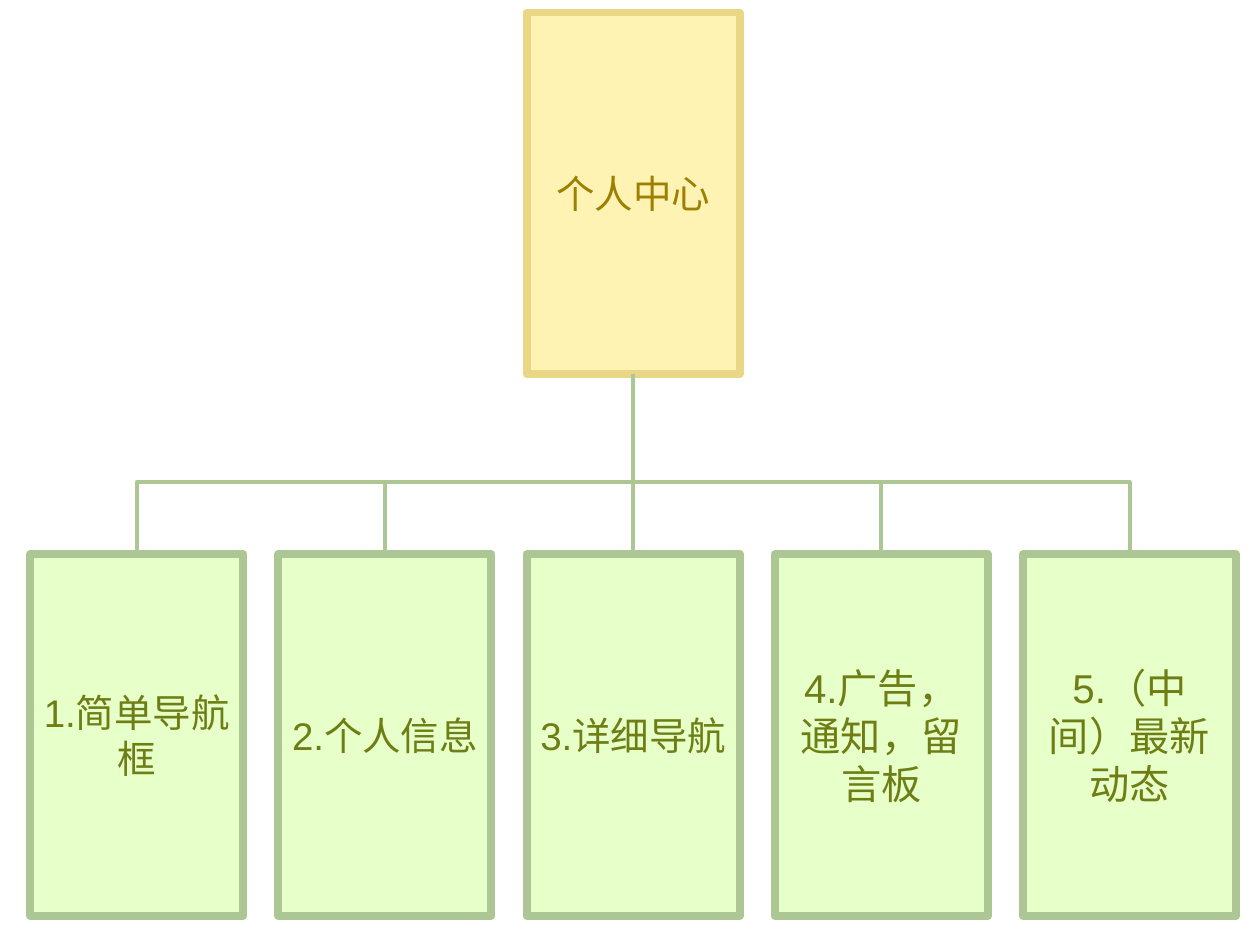
from dataclasses import dataclass

from pptx import Presentation
from pptx.dml.color import RGBColor
from pptx.enum.shapes import MSO_CONNECTOR as Connector, MSO_SHAPE as Shape
from pptx.enum.text import MSO_ANCHOR as Anchor, PP_ALIGN as Align
from pptx.oxml.ns import qn
from pptx.oxml.xmlchemy import OxmlElement
from pptx.util import Pt

# Colours
YELLOW_FILL = RGBColor(0xFF, 0xE8, 0x68)
YELLOW_LINE = RGBColor(0xE9, 0xD7, 0x85)
YELLOW_TEXT = RGBColor(0x9B, 0x80, 0x02)
GREEN_FILL = RGBColor(0xD0, 0xFF, 0x94)
GREEN_LINE = RGBColor(0xAC, 0xC7, 0x94)
GREEN_TEXT = RGBColor(0x6E, 0x7E, 0x14)

# Layout in points
BOX_WIDTH, BOX_HEIGHT = 121.68, 206.64
FIRST_LEFT, PITCH = 17.28, 141.84
ROOT_TOP, CHILD_TOP = 7.2, 316.8
ROOT_COLUMN = 2


@dataclass(frozen=True)
class Palette:
    fill: RGBColor
    line: RGBColor
    text: RGBColor


@dataclass(frozen=True)
class Box:
    text: str
    column: int
    top: float
    palette: Palette
    kind: Shape = Shape.FLOWCHART_PROCESS
    size: float = 22

    @property
    def left(self) -> float:
        return FIRST_LEFT + self.column * PITCH

    @property
    def center(self) -> float:
        return self.left + BOX_WIDTH / 2


YELLOW = Palette(YELLOW_FILL, YELLOW_LINE, YELLOW_TEXT)
GREEN = Palette(GREEN_FILL, GREEN_LINE, GREEN_TEXT)

ROOT = Box("个人中心", ROOT_COLUMN, ROOT_TOP, YELLOW)
CHILDREN = [
    Box("1.简单导航框", 0, CHILD_TOP, GREEN),
    Box("2.个人信息", 1, CHILD_TOP, GREEN),
    Box("3.详细导航", 2, CHILD_TOP, GREEN),
    Box("4.广告，通知，留言板", 3, CHILD_TOP, GREEN, Shape.RECTANGLE, 23),
    Box("5.（中间）最新动态", 4, CHILD_TOP, GREEN, Shape.RECTANGLE, 23),
]


def draw_box(slide, box: Box):
    shape = slide.shapes.add_shape(
        box.kind, Pt(box.left), Pt(box.top), Pt(BOX_WIDTH), Pt(BOX_HEIGHT))
    shape.shadow.inherit = False
    shape.fill.solid()
    shape.fill.fore_color.rgb = box.palette.fill
    alpha = OxmlElement("a:alpha")
    alpha.set("val", "50000")
    shape._element.spPr.find(qn("a:solidFill"))[0].append(alpha)
    shape.line.color.rgb = box.palette.line
    shape.line.width = Pt(4.5)

    frame = shape.text_frame
    frame.word_wrap = True
    frame.vertical_anchor = Anchor.MIDDLE
    paragraph = frame.paragraphs[0]
    paragraph.text = box.text
    paragraph.alignment = Align.CENTER
    paragraph.font.name = "Arial"
    paragraph.font.size = Pt(box.size)
    paragraph.font.color.rgb = box.palette.text
    return shape


def draw_elbow(slide, child: Box, root: Box):
    """Elbow from the child's top to the root's bottom, turned to run vertically."""
    root_bottom = root.top + BOX_HEIGHT
    rise = child.top - root_bottom
    spread = abs(root.center - child.center)
    middle_x = (root.center + child.center) / 2
    middle_y = (root_bottom + child.top) / 2
    connector = slide.shapes.add_connector(
        Connector.ELBOW,
        Pt(middle_x - rise / 2), Pt(middle_y - spread / 2),
        Pt(middle_x + rise / 2), Pt(middle_y + spread / 2))
    is_left = child.center < root.center
    properties = connector._element.spPr
    transform = properties.find(qn("a:xfrm"))
    transform.set("rot", str((90 if is_left else 270) * 60000))
    transform.set("flipV", "1")
    if is_left:
        transform.set("flipH", "1")
    # The bend sits 40 % of the way up from the child
    guide = OxmlElement("a:gd")
    guide.set("name", "adj1")
    guide.set("fmla", "val 40000")
    properties.find(qn("a:prstGeom")).find(qn("a:avLst")).append(guide)
    return connector


def draw_straight(slide, child_shape, root_shape):
    connector = slide.shapes.add_connector(Connector.STRAIGHT, 0, 0, 0, 0)
    connector.begin_connect(child_shape, 0)
    connector.end_connect(root_shape, 2)
    return connector


def style_connector(connector) -> None:
    connector.line.color.rgb = GREEN_LINE
    connector.line.width = Pt(2.25)
    connector._element.spPr.append(OxmlElement("a:effectLst"))


def main() -> None:
    presentation = Presentation()
    presentation.slide_width, presentation.slide_height = Pt(720), Pt(540)
    slide = presentation.slides.add_slide(presentation.slide_layouts[6])

    # Root, then each child with its branch
    root_shape = draw_box(slide, ROOT)
    for child in CHILDREN:
        child_shape = draw_box(slide, child)
        if child.column == ROOT.column:
            connector = draw_straight(slide, child_shape, root_shape)
        else:
            connector = draw_elbow(slide, child, ROOT)
        style_connector(connector)

    presentation.save("out.pptx")


if __name__ == "__main__":
    main()
